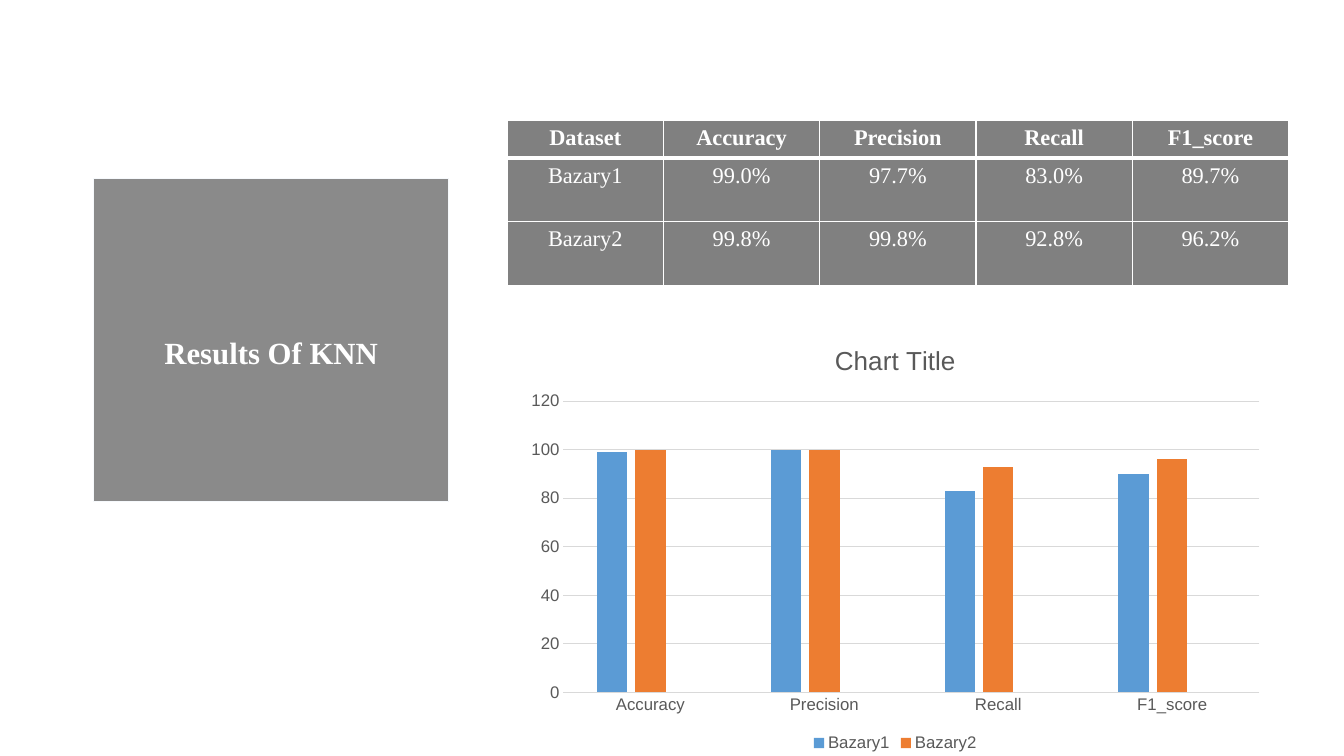
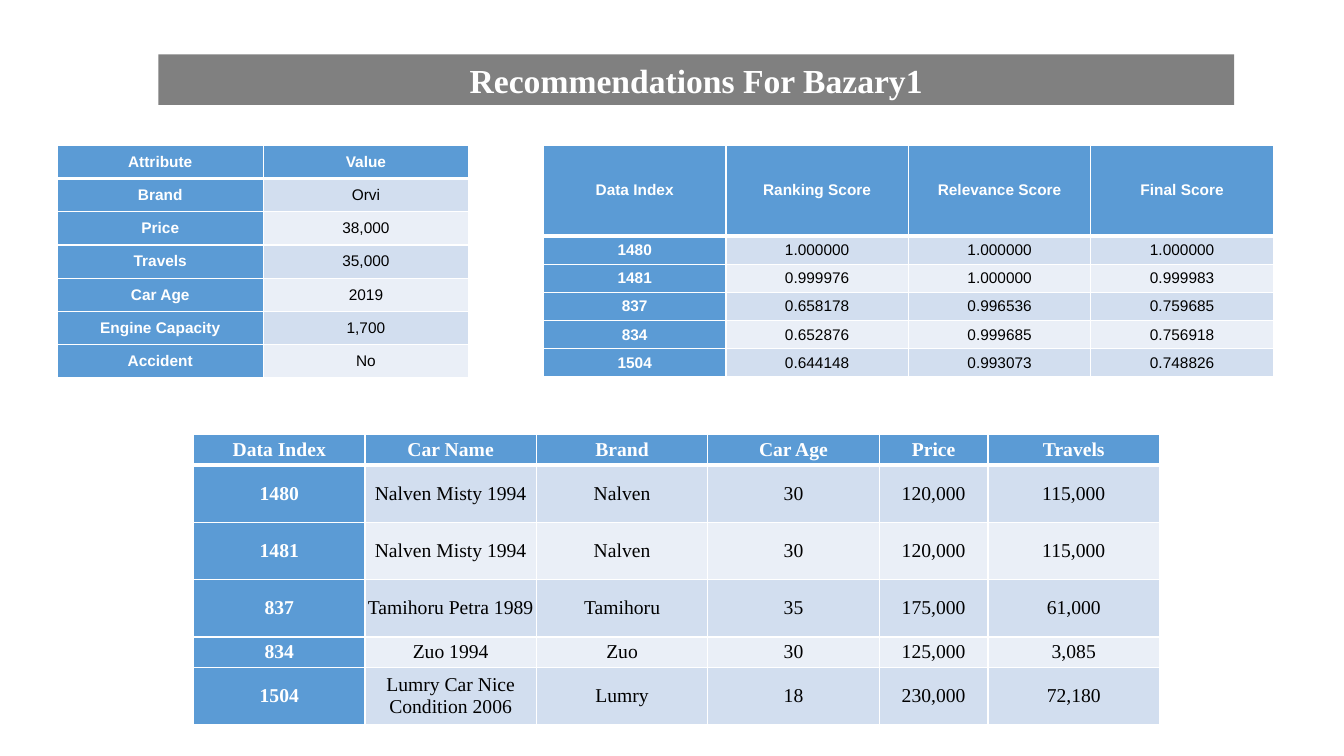
from lxml import etree
from pptx import Presentation
from pptx.chart.data import CategoryChartData
from pptx.dml.color import RGBColor
from pptx.enum.chart import XL_CHART_TYPE, XL_LEGEND_POSITION, XL_TICK_MARK
from pptx.enum.text import MSO_ANCHOR, MSO_AUTO_SIZE, PP_ALIGN
from pptx.oxml.ns import qn
from pptx.util import Inches, Pt

CENTER = PP_ALIGN.CENTER
MIDDLE, TOP = MSO_ANCHOR.MIDDLE, MSO_ANCHOR.TOP
NO_AUTOFIT = MSO_AUTO_SIZE.NONE
COLUMNS = XL_CHART_TYPE.COLUMN_CLUSTERED
BOTTOM = XL_LEGEND_POSITION.BOTTOM
NO_TICK = XL_TICK_MARK.NONE

SERIF, SANS = "Times New Roman", "Arial"
WHITE, BLACK, GRAY = "FFFFFF", "000000", "808080"
BLUE, ORANGE, SILVER = "5B9BD5", "ED7D31", "A5A5A5"
BLUE_BANDS = ("D2DEEF", "EAEFF7")
CHART_TEXT, CHART_LINE = "595959", "D9D9D9"
DATASETS = ("Bazary1", "Bazary2")


def rgb(value):
    return RGBColor.from_string(value)


def add_grid(slide, left, top, widths, heights, rows, font, size, bands=None):
    table = slide.shapes.add_table(
        len(rows), len(widths), Inches(left), Inches(top),
        Inches(sum(widths)), Inches(sum(heights))).table
    for column, width in zip(table.columns, widths):
        column.width = Inches(width)
    for row, height in zip(table.rows, heights):
        row.height = Inches(height)
    for r, values in enumerate(rows):
        for c, value in enumerate(values):
            cell = table.cell(r, c)
            heading = r == 0 or (bands and c == 0)
            borders = {"lnL": 1, "lnR": 1, "lnT": 3 if r == 1 else 1, "lnB": 3 if r == 0 else 1}
            for side, points in borders.items():
                border = etree.SubElement(cell._tc.get_or_add_tcPr(), qn(f"a:{side}"), w=str(Pt(points)))
                paint = etree.SubElement(border, qn("a:solidFill"))
                etree.SubElement(paint, qn("a:srgbClr"), val=WHITE)
            cell.fill.solid()
            if not bands:
                cell.fill.fore_color.rgb = rgb(GRAY)
                cell.vertical_anchor = TOP
            else:
                cell.fill.fore_color.rgb = rgb(BLUE if heading else bands[(r - 1) % 2])
                cell.vertical_anchor = MIDDLE
                cell.margin_left = cell.margin_right = Inches(0.01)
                cell.margin_top = cell.margin_bottom = Inches(0.01)
            paragraph = cell.text_frame.paragraphs[0]
            paragraph.alignment = CENTER
            run = paragraph.add_run()
            run.text = value
            run.font.name = font
            run.font.size = Pt(size)
            run.font.bold = bool(heading)
            run.font.color.rgb = rgb(WHITE if heading or not bands else BLACK)


deck = Presentation()
deck.slide_width, deck.slide_height = Inches(13.33), Inches(7.5)
title_only = deck.slide_layouts[5]

titles = [
    ("Results Of KNN", 22, (0.93, 1.77, 3.52, 3.21), "7F7F7F"),
    (f"Recommendations For {DATASETS[0]}", 24, (1.57, 0.54, 10.67, 0.5), GRAY),
]
for wording, size, place, color in titles:
    title = deck.slides.add_slide(title_only).shapes.title
    title.left, title.top, title.width, title.height = map(Inches, place)
    title.fill.solid()
    title.fill.fore_color.rgb = rgb(color)
    frame = title.text_frame
    frame.auto_size = NO_AUTOFIT
    frame.word_wrap = True
    frame.vertical_anchor = MIDDLE
    frame.paragraphs[0].alignment = CENTER
    run = frame.paragraphs[0].add_run()
    run.text = wording
    run.font.name = SERIF
    run.font.size = Pt(size)
    run.font.bold = True
    run.font.color.rgb = rgb(WHITE)

results, recommendations = deck.slides

results_title = results.shapes.title
results_title.text_frame.margin_top = Inches(0.28)
title_color = results_title.element.spPr.find(f"{qn('a:solidFill')}/{qn('a:srgbClr')}")
etree.SubElement(title_color, qn("a:alpha"), val="91000")
results_title.line.color.rgb = rgb("F6F9FC")
results_title.line.width = Pt(0.75)

metrics = ("Accuracy", "Precision", "Recall", "F1_score")
add_grid(results, 5.03, 1.19, [1.55] * 5, [0.38, 0.63, 0.63], [
    ("Dataset", *metrics),
    (DATASETS[0], "99.0%", "97.7%", "83.0%", "89.7%"),
    (DATASETS[1], "99.8%", "99.8%", "92.8%", "96.2%"),
], SERIF, 16)

scores = CategoryChartData()
scores.categories = metrics
scores.add_series(DATASETS[0], (99, 100, 83, 90))
scores.add_series(DATASETS[1], (100, 100, 93, 96))
scores.add_series("Series 3", (None,) * 4)
chart = results.shapes.add_chart(
    COLUMNS, Inches(5.12), Inches(3.22), Inches(7.52), Inches(4.28), scores).chart
chart.font.name = SANS
chart.font.size = Pt(12)
chart.font.color.rgb = rgb(CHART_TEXT)

chart.has_title = True
heading_run = chart.chart_title.text_frame.paragraphs[0].add_run()
heading_run.text = "Chart Title"
heading_run.font.name = SANS
heading_run.font.size = Pt(18.6)
heading_run.font.bold = False
heading_run.font.color.rgb = rgb(CHART_TEXT)

chart.has_legend = True
chart.legend.position = BOTTOM
chart.legend.include_in_layout = False
hidden_entry = etree.Element(qn("c:legendEntry"))
etree.SubElement(hidden_entry, qn("c:idx"), val="2")
etree.SubElement(hidden_entry, qn("c:delete"), val="1")
chart.legend._element.find(qn("c:legendPos")).addnext(hidden_entry)

bars = chart.plots[0]
bars.gap_width = 219
bars.overlap = -27
bars.vary_by_categories = False
for series, color in zip(bars.series, (BLUE, ORANGE, SILVER)):
    series.format.fill.solid()
    series.format.fill.fore_color.rgb = rgb(color)

metric_axis, score_axis = chart.category_axis, chart.value_axis
for axis in (metric_axis, score_axis):
    axis.major_tick_mark = axis.minor_tick_mark = NO_TICK
metric_axis.format.line.color.rgb = rgb(CHART_LINE)
metric_axis.format.line.width = Pt(0.75)
score_axis.format.line.fill.background()
score_axis.minimum_scale = 0
score_axis.maximum_scale = 120
score_axis.major_unit = 20
score_axis.major_gridlines.format.line.color.rgb = rgb(CHART_LINE)
score_axis.major_gridlines.format.line.width = Pt(0.75)

add_grid(recommendations, 0.57, 1.44, [2.04] * 2, [0.33] * 7, [
    ("Attribute", "Value"),
    ("Brand", "Orvi"),
    ("Price", "38,000"),
    ("Travels", "35,000"),
    ("Car Age", "2019"),
    ("Engine Capacity", "1,700"),
    ("Accident", "No"),
], SANS, 11, BLUE_BANDS)

add_grid(recommendations, 5.39, 1.44, [1.81] * 4, [0.9] + [0.28] * 5, [
    ("Data Index", "Ranking Score", "Relevance Score", "Final Score"),
    ("1480", "1.000000", "1.000000", "1.000000"),
    ("1481", "0.999976", "1.000000", "0.999983"),
    ("837", "0.658178", "0.996536", "0.759685"),
    ("834", "0.652876", "0.999685", "0.756918"),
    ("1504", "0.644148", "0.993073", "0.748826"),
], SANS, 11, BLUE_BANDS)

add_grid(recommendations, 1.92, 4.31, [1.7] * 4 + [1.08, 1.7],
         [0.3, 0.57, 0.57, 0.57, 0.3, 0.57], [
    ("Data Index", "Car Name", "Brand", "Car Age", "Price", "Travels"),
    ("1480", "Nalven Misty 1994", "Nalven", "30", "120,000", "115,000"),
    ("1481", "Nalven Misty 1994", "Nalven", "30", "120,000", "115,000"),
    ("837", "Tamihoru Petra 1989", "Tamihoru", "35", "175,000", "61,000"),
    ("834", "Zuo 1994", "Zuo", "30", "125,000", "3,085"),
    ("1504", "Lumry Car Nice Condition 2006", "Lumry", "18", "230,000", "72,180"),
], SERIF, 14, BLUE_BANDS)

deck.save("out.pptx")
